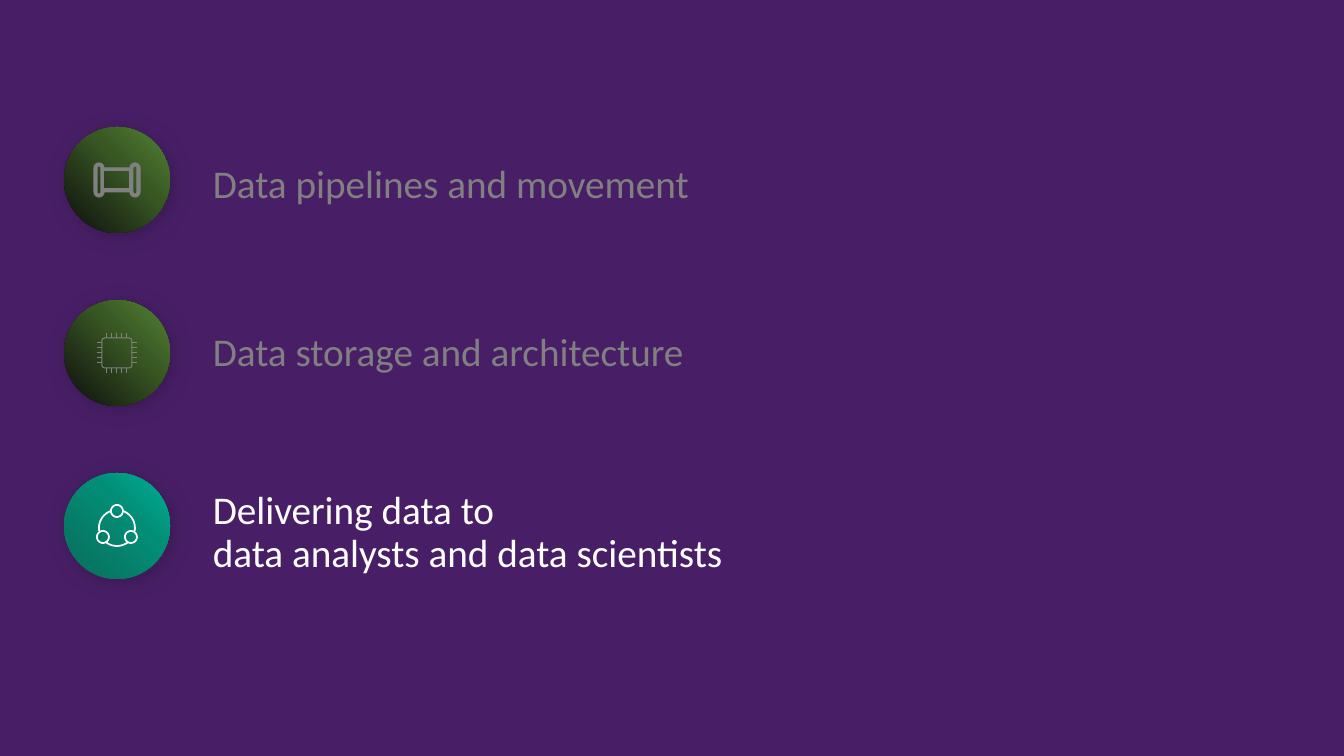
from math import cos, radians, sin

from pptx import Presentation
from pptx.dml.color import RGBColor as Rgb
from pptx.enum.shapes import MSO_SHAPE as Kind
from pptx.oxml import parse_xml
from pptx.util import Pt

PX = 914400 / 100.8
NS = 'xmlns:a="http://schemas.openxmlformats.org/drawingml/2006/main"'
FONT = "Calibri"
PURPLE, GRAY, WHITE = "481F67", "808080", "FFFFFF"
GREEN = ("0D0D0D", "385723", "548235")
TEAL = ("086C59", "038C76", "00AE94")


def emu(px):
    return round(px * PX)


def color(code):
    return Rgb.from_string(code)


def arc(x, y, r, start, end, steps=16):
    """Points on a circle; angles in degrees, clockwise from the right."""
    turns = [radians(start + (end - start) * i / steps) for i in range(steps + 1)]
    return [(x + r * cos(t), y + r * sin(t)) for t in turns]


def ring(corners, r):
    """Outline through four rounded corners, clockwise from the top left."""
    return [p for i, (x, y) in enumerate(corners)
            for p in arc(x, y, r, 180 + 90 * i, 270 + 90 * i, 6)]


def box(left, top, right, bottom):
    return [(left, top), (right, top), (right, bottom), (left, bottom)]


# Icons: lists of (points, closed), measured from the badge centre
def pipe():
    side, half, r = 18, 12, 5
    rim = (arc(-side, -half, r, 180, 360) + arc(side, -half, r, 180, 360)
           + arc(side, half, r, 0, 180) + arc(-side, half, r, 0, 180))
    slots = [ring(box(x, -half, x, half), 2) for x in (-side, side)]
    bore = box(r - side, 3 - half, side - r, half - 3)
    return [(part, True) for part in (rim, *slots, bore)]


def chip():
    half, r, tip = 15, 3, 20
    parts = [(ring(box(r - half, r - half, half - r, half - r), r), True)]
    for at in range(-10, 11, 5):
        for sign in (-1, 1):
            near, far = sign * half, sign * tip
            parts.append(([(at, near), (at, far)], False))
            parts.append(([(near, at), (far, at)], False))
    return parts


def share():
    arcs = [(arc(0, 2, 18, a, b), False)
            for a, b in ((170, 250), (128, 52), (10, -70))]
    nodes = [(arc(x, y, 6, 0, 360, 32)[:-1], True)
             for x, y in ((0, -15), (-14, 11), (14, 11))]
    return arcs + nodes


class Deck:
    def __init__(self):
        self.prs = Presentation()
        self.prs.slide_width, self.prs.slide_height = emu(1344), emu(756)
        self.slide = self.prs.slides.add_slide(self.prs.slide_layouts[6])
        self.shapes = self.slide.shapes
        back = self.slide.background.fill
        back.solid()
        back.fore_color.rgb = color(PURPLE)

    def label(self, text, x, y, w, h, tint):
        frame = self.shapes.add_textbox(emu(x), emu(y), emu(w), emu(h)).text_frame
        frame.word_wrap = True
        para = frame.paragraphs[0]
        para.text = text
        para.line_spacing = 0.9
        for run in para.runs:
            run.font.name, run.font.size = FONT, Pt(28)
            run.font.color.rgb = color(tint)

    def badge(self, x, y, size, tones):
        disc = self.shapes.add_shape(Kind.OVAL, emu(x), emu(y), emu(size), emu(size))
        disc.line.fill.background()
        disc.shadow.inherit = False
        # Three-stop gradient, dark at the lower left
        stops = "".join(f'<a:gs pos="{pos}"><a:srgbClr val="{tone}"/></a:gs>'
                        for pos, tone in zip((0, 60000, 100000), tones))
        props = disc.element.spPr
        props.find("{*}prstGeom").addnext(parse_xml(
            f'<a:gradFill {NS}><a:gsLst>{stops}</a:gsLst>'
            f'<a:lin ang="{315 * 60000}" scaled="0"/></a:gradFill>'))
        # Soft shadow
        props.find("{*}effectLst").append(parse_xml(
            f'<a:outerShdw {NS} blurRad="{Pt(16)}" dist="{Pt(3)}" '
            f'dir="{45 * 60000}" algn="tl" rotWithShape="0">'
            '<a:srgbClr val="000000"><a:alpha val="20000"/></a:srgbClr>'
            '</a:outerShdw>'))

    def icon(self, parts, x, y, tint, width, solid):
        pen = None
        for points, closed in parts:
            first, *rest = [(emu(x + dx), emu(y + dy)) for dx, dy in points]
            if pen is None:
                pen = self.shapes.build_freeform(*first, scale=1.0)
            else:
                pen.move_to(*first)
            pen.add_line_segments(rest, close=closed)
        form = pen.convert_to_shape()
        form.shadow.inherit = False
        form.line.color.rgb = color(tint)
        form.line.width = Pt(width)
        if solid:
            form.fill.solid()
            form.fill.fore_color.rgb = color(tint)
        else:
            form.fill.background()


def main():
    deck = Deck()
    left, top, step, size = 64, 127, 173, 106
    # Text, text top, text height, tint, badge tones, icon, line width, solid
    rows = [
        ("Data pipelines and movement", 160, 40, GRAY, GREEN, pipe, 0.75, True),
        ("Data storage and architecture", 328, 40, GRAY, GREEN, chip, 0.75, False),
        ("Delivering data to\vdata analysts and data scientists",
         486, 82, WHITE, TEAL, share, 1.25, False),
    ]
    for i, (text, y, h, tint, tones, draw, width, solid) in enumerate(rows):
        high = top + i * step
        deck.label(text, 203, y, 574, h, tint)
        deck.badge(left, high, size, tones)
        deck.icon(draw(), left + size // 2, high + size // 2, tint, width, solid)
    deck.prs.save("out.pptx")


if __name__ == "__main__":
    main()
